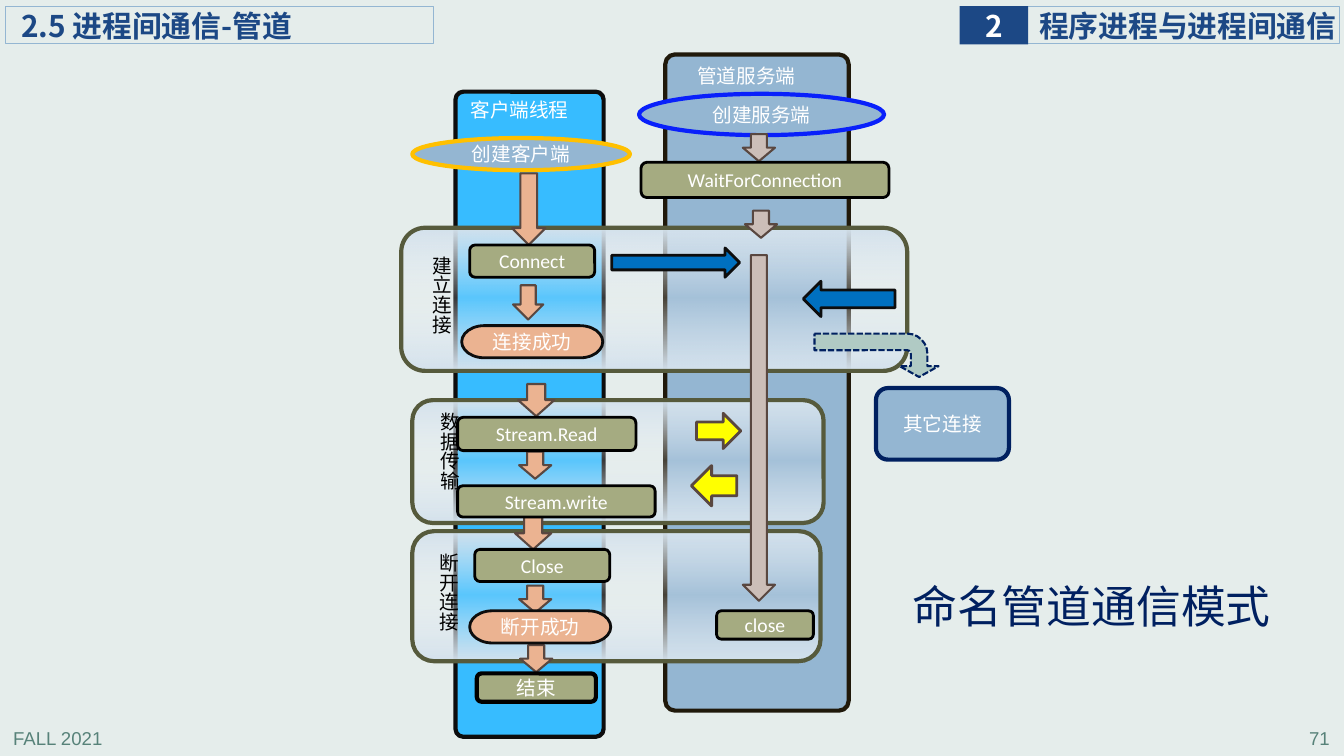
from lxml import etree
from pptx import Presentation
from pptx.dml.color import RGBColor
from pptx.enum.dml import MSO_LINE
from pptx.enum.shapes import MSO_SHAPE as Shape
from pptx.enum.text import MSO_ANCHOR as Anchor, PP_ALIGN as Align
from pptx.oxml.ns import qn
from pptx.util import Pt

COLORS = {
    "background": "E5EDEB", "footer": "578279", "header": "1C4885",
    "steel": "94B6D2", "sky": "37BCFF", "white": "FFFFFF", "black": "000000",
    "ink": "0D0D0D", "server_edge": "20190B", "band_edge": "565A3C",
    "band_end": "D4E2ED", "band_middle": "EAF0F6", "navy": "002060",
    "blue": "0920FB", "amber": "FFC000", "olive": "A5AB81",
    "salmon": "EBB391", "taupe": "CCBEB8", "arrow_edge": "594740",
    "message": "0070C0", "yellow": "FFFF00", "mint": "B0CAC4",
}
CJK, LATIN = "Noto Sans CJK SC", "Calibri"


class FlowSlide:
    def __init__(self, deck):
        self.slide = deck.slides.add_slide(deck.slide_layouts[5])
        backdrop = self.slide.background.fill
        backdrop.solid()
        backdrop.fore_color.rgb = self.color("background")

    def color(self, name):
        return RGBColor.from_string(COLORS[name])

    def set_text(self, holder, text, size=14, color="white", font=CJK, align=Align.CENTER,
                 anchor=Anchor.MIDDLE, bold=False, insets=None):
        frame = holder.text_frame
        frame.word_wrap = True
        frame.vertical_anchor = anchor
        if insets:
            (frame.margin_left, frame.margin_top,
             frame.margin_right, frame.margin_bottom) = map(Pt, insets)
        frame.text = text
        paragraph = frame.paragraphs[0]
        paragraph.alignment = align
        style = paragraph.font
        style.size, style.bold, style.name = Pt(size), bold, font
        style.color.rgb = self.color(color)
        defaults = next(holder.element.iter(qn("a:defRPr")))
        etree.SubElement(defaults, qn("a:ea")).set("typeface", CJK)
        return paragraph

    def block(self, kind, at, fill, edge, width, text=None, **style):
        block = self.slide.shapes.add_shape(kind, *map(Pt, at))
        block.shadow.inherit = False
        if fill:
            block.fill.solid()
            block.fill.fore_color.rgb = self.color(fill)
        else:
            block.fill.background()
        if edge:
            block.line.color.rgb = self.color(edge)
            block.line.width = Pt(width)
        else:
            block.line.fill.background()
        if text:
            self.set_text(block, text, **style)
        return block

    def band(self, at):
        """Draw a stage frame whose fill turns see-through in the middle."""
        band = self.block(Shape.ROUNDED_RECTANGLE, at, None, "band_edge", 3)
        band.fill.gradient()
        band.fill.gradient_angle = 270
        stops = next(band.element.iter(qn("a:gsLst")))
        for old_stop in list(stops):
            stops.remove(old_stop)
        for place, name, opacity in ((0, "band_end", 100), (49, "band_middle", 19),
                                     (100, "band_end", 100)):
            stop = etree.SubElement(stops, qn("a:gs"), pos=str(place * 1000))
            tint = etree.SubElement(stop, qn("a:srgbClr"), val=COLORS[name])
            etree.SubElement(tint, qn("a:alpha"), val=str(opacity * 1000))

    def label(self, at, text, vertical=False, **style):
        label = self.slide.shapes.add_textbox(*map(Pt, at))
        self.set_text(label, text, **{"align": Align.LEFT, "anchor": Anchor.TOP, **style})
        if vertical:
            next(label.element.iter(qn("a:bodyPr"))).set("vert", "eaVert")

    def title(self, at, text):
        title = self.slide.shapes.title
        title.left, title.top, title.width, title.height = map(Pt, at)
        paragraph = self.set_text(title, text, 32, "navy", align=Align.LEFT,
                                  insets=(5.8, 2.9, 5.8, 2.9))
        paragraph.line_spacing = 0.9


def build_header(page):
    heading = {"size": 21.3, "color": "header", "bold": True}
    for at, text, inset in (((733.7, 5, 223.2, 25.9), "程序进程与进程间通信", 8.6),
                            ((3.6, 5, 306, 25.9), "2.5 进程间通信-管道", 11.5)):
        page.block(Shape.RECTANGLE, at, None, "steel", 0.75, text, align=Align.LEFT,
                   insets=(inset, 0, 0, 0), **heading)
    page.block(Shape.RECTANGLE, (685.4, 4.3, 49, 27.4), "header", None, 0, "2",
               insets=(0, 0, 0, 0), **{**heading, "color": "white"})
    for left, text, align in ((2.2, "FALL 2021", Align.LEFT), (756.7, "71", Align.RIGHT)):
        page.label((left, 515.5, 200.2, 22.3), text, size=13.3, color="footer",
                   font="Arial", align=align)


def build_threads(page):
    for at, fill, edge in (((325.4, 65.5, 105.8, 460.8), "sky", "ink"),
                           ((475.2, 38.9, 131, 468.7), "steel", "server_edge")):
        column = page.block(Shape.ROUNDED_RECTANGLE, at, fill, edge, 3)
        column.adjustments[0] = 0.053
    for at in ((294.5, 379.4, 291.6, 92.9), (286.6, 162.7, 361.4, 102.2),
               (294.5, 285.8, 293.8, 87.8)):
        page.band(at)
    for left, top, text in ((491, 41.8, "管道服务端"), (329, 66.2, "客户端线程")):
        page.label((left, top, 105.1, 28.8), text)
    for at, edge, text in (((456.5, 67, 175, 29.5), "blue", "创建服务端"),
                           ((294.5, 98.6, 155.5, 23), "amber", "创建客户端")):
        page.block(Shape.OVAL, at, "steel", edge, 3, text, font=LATIN)


def build_arrows(page):
    client_arrows = ((365.8, 123.8, 23.8, 51.1), (366.5, 203.8, 21.6, 24.5),
                     (370.1, 274.3, 25.9, 23), (370.8, 322.6, 23, 19.4),
                     (367.9, 369.4, 25.9, 23), (370.8, 418.3, 23, 19.4),
                     (371.5, 460.8, 23, 19.4))
    server_arrows = ((530.6, 95.8, 23, 19.4), (532.1, 150.5, 23, 19.4),
                     (530.6, 182.2, 23, 247))
    for fill, arrows in (("salmon", client_arrows), ("taupe", server_arrows)):
        for at in arrows:
            page.block(Shape.DOWN_ARROW, at, fill, "arrow_edge", 1.5)
    for kind, at, fill, edge in (
            (Shape.RIGHT_ARROW, (437, 177.1, 91.4, 20.9), "message", "ink"),
            (Shape.LEFT_ARROW, (573.8, 200.9, 65.5, 25.2), "message", "ink"),
            (Shape.RIGHT_ARROW, (497.5, 295.2, 31.7, 25.2), "yellow", "arrow_edge"),
            (Shape.LEFT_ARROW, (493.9, 332.6, 32.4, 28.8), "yellow", "arrow_edge")):
        page.block(kind, at, fill, edge, 2)
    branch = page.block(Shape.BENT_ARROW, (610.6, 209.5, 31, 88.6), "mint", "navy", 1.5)
    branch.rotation = 90
    branch.line.dash_style = MSO_LINE.SQUARE_DOT
    for index, ratio in enumerate((0.383, 0.448, 0.25, 0.467)):
        branch.adjustments[index] = ratio


def build_steps(page):
    for at, text in (((457.9, 115.9, 177.1, 25.2), "WaitForConnection"),
                     ((335.5, 175, 89.3, 23), "Connect"),
                     ((326.9, 298.1, 127.4, 23.8), "Stream.Read"),
                     ((326.9, 347, 141.1, 22.3), "Stream.write"),
                     ((511.9, 436.3, 69.1, 20.2), "close"),
                     ((339.1, 392.4, 96.5, 23), "Close")):
        page.block(Shape.ROUNDED_RECTANGLE, at, "olive", "black", 2, text, font=LATIN)
    page.block(Shape.ROUNDED_RECTANGLE, (340.6, 481, 85, 20.2), "olive", "black", 3, "结束")
    page.block(Shape.ROUNDED_RECTANGLE, (625.7, 277.2, 95, 51.1), "steel", "navy", 3, "其它连接")
    for left, top, text in ((329.8, 232.6, "连接成功"), (335.5, 436.3, "断开成功")):
        page.block(Shape.FLOWCHART_TERMINATOR, (left, top, 100.8, 23), "salmon", "ink", 2, text)
    for left, top, height, text in ((297.4, 287.3, 79.9, "数据传输"),
                                    (291.6, 175.7, 86.4, "建立连接"),
                                    (296.6, 388.1, 79.9, "断开连接")):
        page.label((left, top, 36, height), text, vertical=True, color="black")


def main():
    deck = Presentation()
    deck.slide_width, deck.slide_height = Pt(960), Pt(540)
    page = FlowSlide(deck)
    build_header(page)
    build_threads(page)
    build_arrows(page)
    build_steps(page)
    page.title((645.8, 403.9, 292.3, 62.6), "命名管道通信模式")
    deck.save("out.pptx")


if __name__ == "__main__":
    main()
